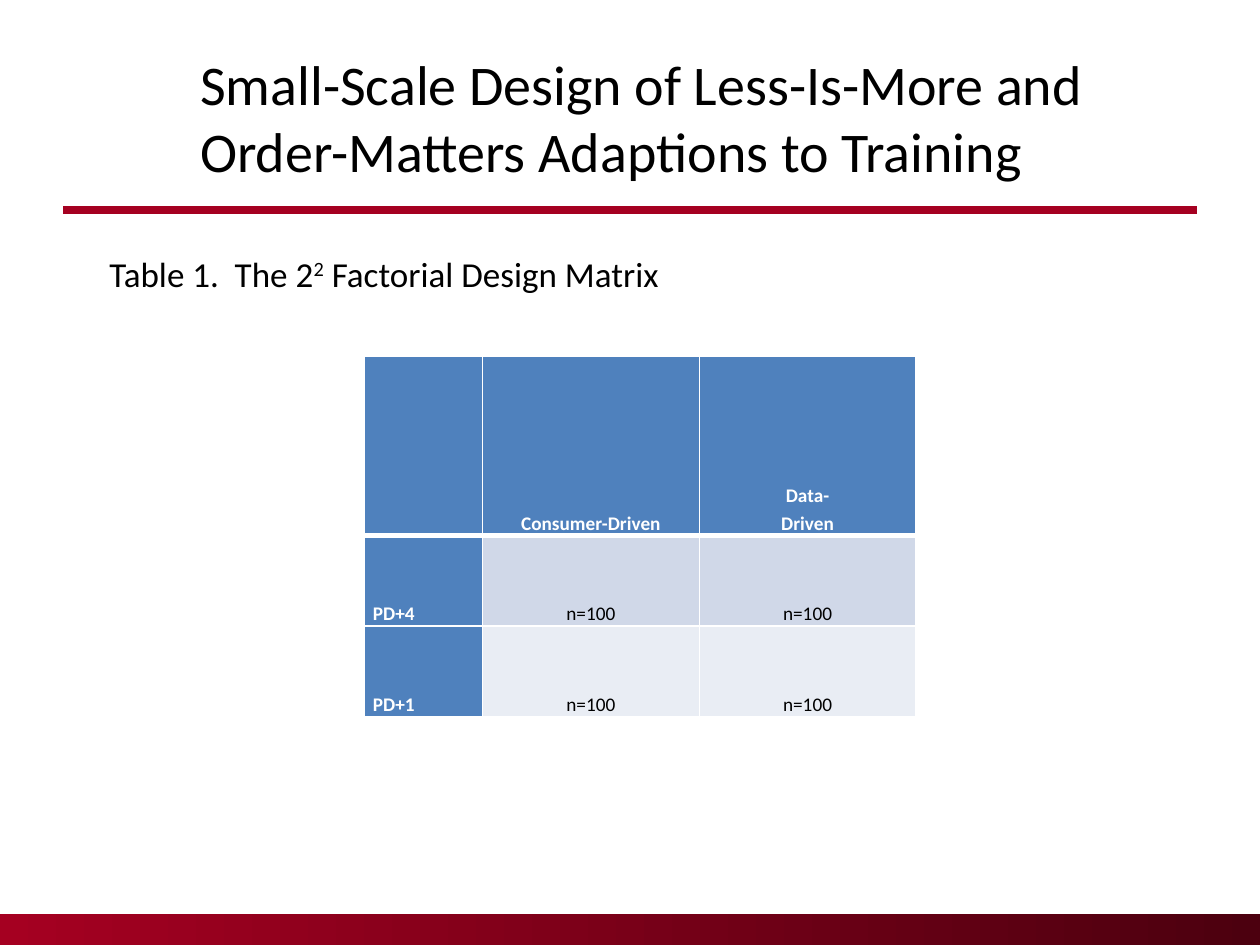
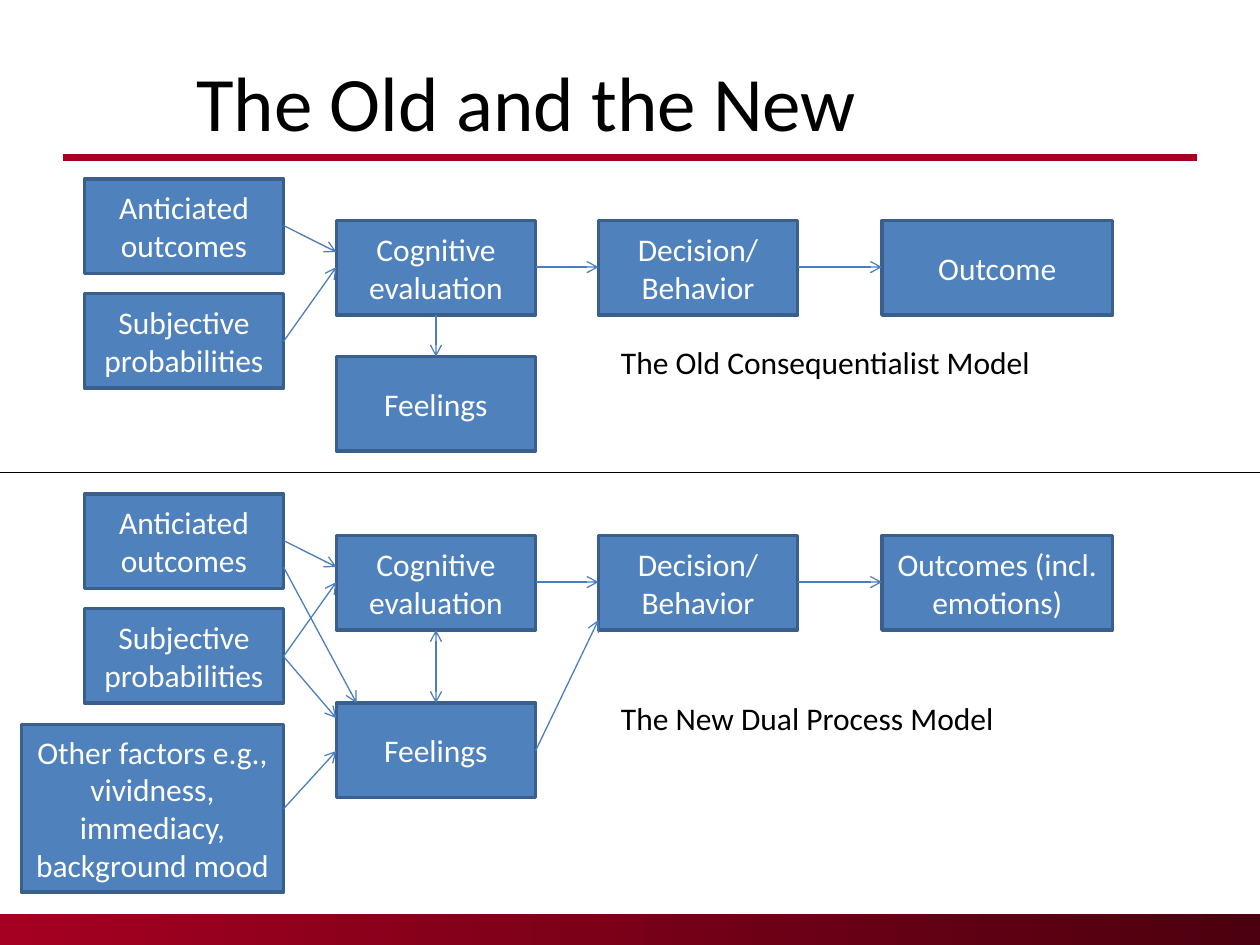
from dataclasses import dataclass

from pptx import Presentation
from pptx.dml.color import RGBColor
from pptx.enum.shapes import MSO_CONNECTOR, MSO_SHAPE
from pptx.enum.text import MSO_ANCHOR, PP_ALIGN
from pptx.oxml import parse_xml
from pptx.oxml.ns import nsdecls, qn
from pptx.oxml.xmlchemy import OxmlElement
from pptx.util import Inches, Pt


@dataclass(frozen=True)
class Theme:
    """Colours, font and type sizes shared by the slides."""

    font: str = "Calibri"
    ink: str = "000000"
    paper: str = "FFFFFF"
    crimson: str = "A50021"
    maroon: str = "4C000F"
    box: str = "4F81BD"
    box_edge: str = "3A5F8C"
    arrow: str = "4B7EBC"
    row_tints: tuple = ("D0D8E8", "E9EDF4")
    long_title: int = 32
    title: int = 44
    caption: int = 20
    label: int = 18
    cell: int = 11


THEME = Theme()
BOX_WIDTH, BOX_HEIGHT = 1.58, 0.75
SOURCE_X, STAGE_X, DECISION_X, OUTCOME_X = 0.67, 2.67, 4.75, 7
SOURCE_EDGE, STAGE_EDGE, DECISION_EDGE = 2.25, 4.25, 6.33
STAGE_DROP, FLOW_DROP, SUBJECTIVE_DROP = 0.33, 0.7, 0.91
FEELINGS_X = 3.46


def apply_format(target, values):
    """Set each named format value on the target."""
    for name, value in values.items():
        setattr(target, name, value)


def add_run(paragraph, text, size, color, bold=False, raised=False):
    """Add one styled run to a paragraph."""
    run = paragraph.add_run()
    run.text = text
    apply_format(run.font, {"name": THEME.font, "size": Pt(size), "bold": bold})
    run.font.color.rgb = RGBColor.from_string(color)
    if raised:
        run._r.get_or_add_rPr().set("baseline", "30000")


def add_text(slide, place, pieces, size, anchor=MSO_ANCHOR.TOP, wrap=True):
    """Add a text box whose pieces are (text, raised) pairs."""
    frame = slide.shapes.add_textbox(*map(Inches, place)).text_frame
    apply_format(frame, {"word_wrap": wrap, "vertical_anchor": anchor})
    for text, raised in pieces:
        add_run(frame.paragraphs[0], text, size, THEME.ink, raised=raised)


def add_line(slide, start, end, color, width, arrow_ends=()):
    """Add a straight line with open arrowheads at the named ends."""
    line = slide.shapes.add_connector(
        MSO_CONNECTOR.STRAIGHT, *map(Inches, (*start, *end))
    )
    line.line.color.rgb = RGBColor.from_string(color)
    line.line.width = Pt(width)
    properties = line.element.spPr
    for arrow_end in arrow_ends:
        head = OxmlElement(f"a:{arrow_end}")
        head.set("type", "arrow")
        properties.find(qn("a:ln")).append(head)
    properties.append(OxmlElement("a:effectLst"))


def add_arrow(slide, start, end, arrow_ends=("tailEnd",)):
    """Add a thin arrow of the process models."""
    add_line(slide, start, end, THEME.arrow, 0.75, arrow_ends)


def add_box(slide, text, left, top, width=BOX_WIDTH, height=BOX_HEIGHT):
    """Add a labelled box of the process models."""
    box = slide.shapes.add_shape(
        MSO_SHAPE.RECTANGLE, *map(Inches, (left, top, width, height))
    )
    box.shadow.inherit = False
    box.fill.solid()
    box.fill.fore_color.rgb = RGBColor.from_string(THEME.box)
    box.line.color.rgb = RGBColor.from_string(THEME.box_edge)
    box.line.width = Pt(2)
    apply_format(
        box.text_frame, {"word_wrap": True, "vertical_anchor": MSO_ANCHOR.MIDDLE}
    )
    paragraph = box.text_frame.paragraphs[0]
    paragraph.alignment = PP_ALIGN.CENTER
    add_run(paragraph, text, THEME.label, THEME.paper)


def add_footer_band(slide):
    """Add the gradient band along the foot of the slide."""
    band = slide.shapes.add_shape(
        MSO_SHAPE.RECTANGLE, *map(Inches, (0, 7.25, 10, 0.25))
    )
    band.shadow.inherit = False
    band.line.fill.background()
    band.fill.gradient()
    band.fill.gradient_angle = 0
    for stop, color in zip(band.fill.gradient_stops, (THEME.crimson, THEME.maroon)):
        stop.color.rgb = RGBColor.from_string(color)


def add_titled_slide(deck, title, place, size, rule_top):
    """Add a slide with its title, title rule and footer band."""
    slide = deck.slides.add_slide(deck.slide_layouts[6])
    add_text(slide, place, [(title, False)], size, MSO_ANCHOR.MIDDLE)
    add_line(slide, (0.5, rule_top), (9.5, rule_top), THEME.crimson, 4.5)
    add_footer_band(slide)
    return slide


def set_borders(cell, top, bottom):
    """Give a cell white borders with the stated top and bottom widths."""
    properties = cell._tc.get_or_add_tcPr()
    widths = {"lnL": 1, "lnR": 1, "lnT": top, "lnB": bottom}
    for place, (side, width) in enumerate(widths.items()):
        border = parse_xml(
            f'<a:{side} {nsdecls("a")} w="{Pt(width)}"><a:solidFill>'
            f'<a:srgbClr val="{THEME.paper}"/></a:solidFill></a:{side}>'
        )
        properties.insert(place, border)


def fill_cell(cell, lines, row, column):
    """Fill and style one cell of the design matrix."""
    heading = row == 0 or column == 0
    cell.fill.solid()
    cell.fill.fore_color.rgb = RGBColor.from_string(
        THEME.box if heading else THEME.row_tints[row - 1]
    )
    set_borders(cell, 3 if row == 1 else 1, 3 if row == 0 else 1)
    apply_format(
        cell,
        {
            "vertical_anchor": MSO_ANCHOR.BOTTOM,
            "margin_left": Inches(0.07),
            "margin_right": Inches(0.07),
            "margin_top": 0,
            "margin_bottom": 0,
        },
    )
    frame = cell.text_frame
    for index, text in enumerate(lines):
        paragraph = frame.add_paragraph() if index else frame.paragraphs[0]
        alignment = PP_ALIGN.CENTER if column else PP_ALIGN.LEFT
        apply_format(paragraph, {"alignment": alignment, "line_spacing": 1.15})
        color = THEME.paper if heading else THEME.ink
        add_run(paragraph, text, THEME.cell, color, bold=heading)


def add_design_matrix(slide):
    """Add the factorial design table."""
    matrix = (
        ((), ("Consumer-Driven",), ("Data-", "Driven")),
        (("PD+4",), ("n=100",), ("n=100",)),
        (("PD+1",), ("n=100",), ("n=100",)),
    )
    place = map(Inches, (2.89, 2.83, 4.39, 2.86))
    table = slide.shapes.add_table(3, 3, *place).table
    apply_format(table, {"first_row": False, "horz_banding": False})
    for column, width in zip(table.columns, (0.94, 1.72, 1.72)):
        column.width = Inches(width)
    for table_row, height in zip(table.rows, (1.42, 0.72, 0.72)):
        table_row.height = Inches(height)
    for row, cells in enumerate(matrix):
        for column, lines in enumerate(cells):
            fill_cell(table.cell(row, column), lines, row, column)


def add_model(slide, top, feelings_drop, outcome, feelings_ends):
    """Add the boxes and arrows that both process models share."""
    stage_top = top + STAGE_DROP
    flow = top + FLOW_DROP
    add_box(slide, "Anticiated outcomes", SOURCE_X, top)
    add_box(slide, "Subjective probabilities", SOURCE_X, top + SUBJECTIVE_DROP)
    add_box(slide, "Feelings", STAGE_X, top + feelings_drop)
    add_box(slide, "Cognitive evaluation", STAGE_X, stage_top)
    add_box(slide, "Decision/ Behavior", DECISION_X, stage_top)
    add_box(slide, outcome, OUTCOME_X, stage_top, width=1.83)
    add_arrow(slide, (SOURCE_EDGE, top + 1.29), (STAGE_X, flow))
    add_arrow(slide, (SOURCE_EDGE, top + 0.37), (STAGE_X, top + 0.58))
    add_arrow(slide, (STAGE_EDGE, flow), (DECISION_X, flow))
    add_arrow(slide, (DECISION_EDGE, flow), (OUTCOME_X, flow))
    add_arrow(
        slide,
        (FEELINGS_X, stage_top + BOX_HEIGHT),
        (FEELINGS_X, top + feelings_drop),
        feelings_ends,
    )


def add_feelings_paths(slide):
    """Add the extra influences of the dual process model."""
    add_box(
        slide,
        "Other factors e.g., vividness, immediacy, background mood",
        0.17, 5.75, 2.08, 1.33,
    )
    paths = (
        ((SOURCE_EDGE, 6.42), (STAGE_X, 5.96)),
        ((SOURCE_EDGE, 5.21), (STAGE_X, 5.7)),
        ((SOURCE_EDGE, 4.5), (2.83, 5.58)),
        ((STAGE_EDGE, 5.96), (DECISION_X, 4.92)),
    )
    for start, end in paths:
        add_arrow(slide, start, end)


def build_design_slide(deck):
    """Build the slide with the factorial design."""
    slide = add_titled_slide(
        deck,
        "Small-Scale Design of Less-Is-More and Order-Matters Adaptions to Training",
        (1.49, 0.3, 8.01, 1.25), THEME.long_title, 1.67,
    )
    add_design_matrix(slide)
    caption = (
        ("Table 1.  The 2", False), ("2", True), (" Factorial Design Matrix", False)
    )
    add_text(
        slide, (0.77, 1.95, 4.61, 0.44), caption, THEME.caption,
        MSO_ANCHOR.MIDDLE, wrap=False,
    )


def build_models_slide(deck):
    """Build the slide that contrasts the two models."""
    slide = add_titled_slide(
        deck, "The Old and the New", (1.46, 0.17, 8.04, 1.25), THEME.title, 1.25
    )
    add_line(slide, (0, 3.75), (10, 3.75), THEME.ink, 0.75)
    captions = {
        "The Old Consequentialist Model": (4.83, 2.67, 3.58, 0.7),
        "The New Dual Process Model": (4.83, 5.5, 4.25, 0.4),
    }
    for caption, place in captions.items():
        add_text(slide, place, [(caption, False)], THEME.label)
    add_model(slide, 1.42, 1.41, "Outcome", ("tailEnd",))
    add_model(
        slide, 3.92, 1.66, "Outcomes (incl. emotions)", ("headEnd", "tailEnd")
    )
    add_feelings_paths(slide)


def main():
    """Build and save the deck."""
    deck = Presentation()
    apply_format(deck, {"slide_width": Inches(10), "slide_height": Inches(7.5)})
    build_design_slide(deck)
    build_models_slide(deck)
    deck.save("out.pptx")


if __name__ == "__main__":
    main()
